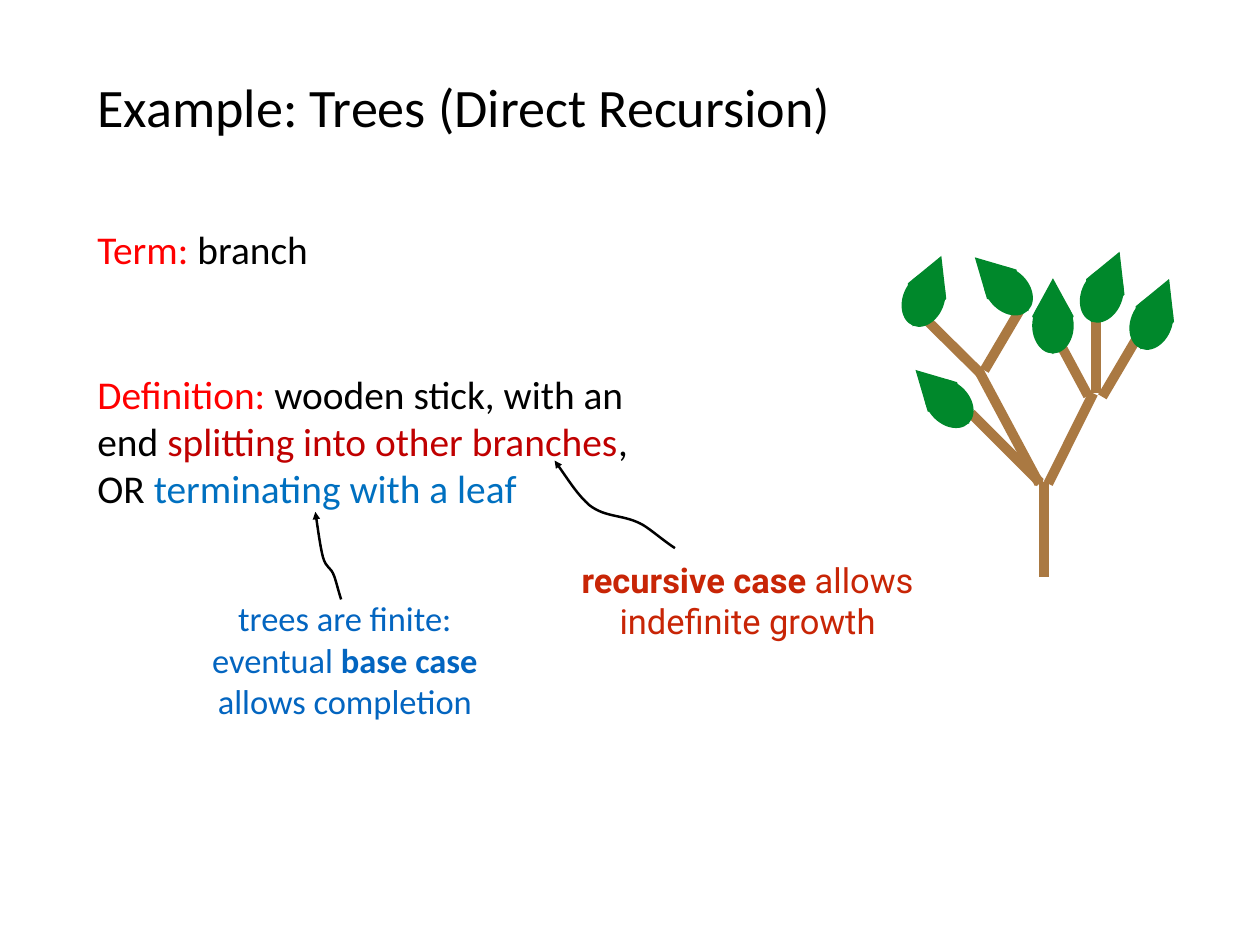
from lxml.etree import SubElement
from pptx import Presentation
from pptx.dml.color import RGBColor
from pptx.enum.shapes import MSO_CONNECTOR, MSO_SHAPE
from pptx.enum.text import MSO_ANCHOR, MSO_AUTO_SIZE, PP_ALIGN
from pptx.oxml.ns import qn
from pptx.util import Cm, Pt

BLACK = RGBColor(0x00, 0x00, 0x00)
RED = RGBColor(0xFF, 0x00, 0x00)
DARK_RED = RGBColor(0xC0, 0x00, 0x00)
BLUE = RGBColor(0x00, 0x70, 0xC0)
NOTE_BLUE = RGBColor(0x03, 0x65, 0xC0)
NOTE_RED = RGBColor(0xC8, 0x25, 0x06)
WOOD = RGBColor(0xAA, 0x79, 0x42)
LEAF_GREEN = RGBColor(0x00, 0x88, 0x2B)

BRANCHES = [
    ((4.02, 9.44), (4.02, 6.72)),
    ((4.15, 6.77), (5.44, 4.18)),
    ((3.89, 6.77), (2.19, 3.59)),
    ((2.22, 3.62), (0.52, 1.94)),
    ((2.32, 3.52), (3.31, 1.84)),
    ((5.70, 4.28), (6.69, 2.60)),
    ((5.29, 4.25), (4.50, 2.78)),
    ((5.52, 4.18), (5.52, 2.02)),
    ((3.92, 6.74), (1.94, 4.76)),
]
LEAVES = [
    (6.61, 0.82, 22.1),
    (5.19, 0.04, 22.1),
    (2.22, -0.04, 315),
    (3.69, 0.88, 0),
    (0.08, 0.16, 22.1),
    (0.52, 3.19, 315),
]
ARROW_CURVE = [
    (1, 1), (0.9, 0.91), (0.82, 0.81), (0.74, 0.74), (0.58, 0.61),
    (0.43, 0.66), (0.29, 0.51), (0.19, 0.39), (0.1, 0.19), (0, 0),
]


def place(shape, box):
    """Move and size a shape to a box given in centimetres."""
    shape.left, shape.top, shape.width, shape.height = map(Cm, box)


def write_text(shape, paragraphs, *, size, color=BLACK, font="Calibri",
               align=PP_ALIGN.LEFT, anchor=MSO_ANCHOR.TOP):
    """Fill a shape with paragraphs of (text, format) runs."""
    frame = shape.text_frame
    frame.word_wrap = True
    frame.auto_size = MSO_AUTO_SIZE.NONE
    frame.vertical_anchor = anchor
    frame.margin_left = frame.margin_right = Cm(0.15)
    frame.margin_top = frame.margin_bottom = Cm(0.15)
    for index, runs in enumerate(paragraphs):
        paragraph = frame.add_paragraph() if index else frame.paragraphs[0]
        paragraph.alignment = align
        paragraph.space_before = Pt(0)
        properties = paragraph._p.get_or_add_pPr()
        properties.set("marL", "0")
        properties.set("indent", "0")
        SubElement(properties, qn("a:buNone"))
        for text, style in runs:
            run = paragraph.add_run()
            run.text = text
            run.font.name = font
            run.font.size = Pt(size)
            run.font.bold = style.get("bold", False)
            run.font.color.rgb = style.get("color", color)


def add_title(shape, box):
    """Place the slide title."""
    place(shape, box)
    write_text(shape, [[("Example: Trees (Direct Recursion)", {})]],
               size=44, anchor=MSO_ANCHOR.MIDDLE)


def add_statement(shape, box, runs):
    """Place a labelled statement in a body placeholder."""
    place(shape, box)
    write_text(shape, [runs], size=32)


def add_note(slide, box, paragraphs, **style):
    """Add a centred note about one case of the definition."""
    shape = slide.shapes.add_textbox(*map(Cm, box))
    write_text(shape, paragraphs, size=28, align=PP_ALIGN.CENTER,
               anchor=MSO_ANCHOR.MIDDLE, **style)


def add_curved_arrow(slide, box):
    """Draw a wavy arrow from the lower right to the upper left of a box."""
    left, top, width, height = box
    points = [(Cm(left + x * width), Cm(top + y * height)) for x, y in ARROW_CURVE]
    builder = slide.shapes.build_freeform(*points[0], scale=1.0)
    builder.add_line_segments(points[1:], close=False)
    arrow = builder.convert_to_shape()
    arrow.shadow.inherit = False
    arrow.fill.background()
    arrow.line.color.rgb = BLACK
    arrow.line.width = Pt(2)
    SubElement(arrow.line._get_or_add_ln(), qn("a:tailEnd"), type="triangle")
    outline = next(arrow.element.iter(qn("a:path")))
    segments = outline.findall(qn("a:lnTo"))
    for start in range(0, len(segments), 3):
        curve = SubElement(outline, qn("a:cubicBezTo"))
        for segment in segments[start:start + 3]:
            curve.append(segment[0])
            outline.remove(segment)


def add_branch(slide, start, end):
    """Draw one wooden branch."""
    branch = slide.shapes.add_connector(MSO_CONNECTOR.STRAIGHT,
                                        *map(Cm, start + end))
    branch.line.color.rgb = WOOD
    branch.line.width = Pt(8)
    SubElement(branch.element.spPr, qn("a:effectLst"))


def add_leaf(slide, left, top, angle):
    """Draw a leaf as a turned group of a diamond and an ellipse."""
    leaf = slide.shapes.add_group_shape()
    for kind, offset, height in ((MSO_SHAPE.DIAMOND, 0, 2.18),
                                 (MSO_SHAPE.OVAL, 0.56, 1.6)):
        part = leaf.shapes.add_shape(kind, Cm(left), Cm(top + offset),
                                     Cm(1.19), Cm(height))
        part.shadow.inherit = False
        part.fill.solid()
        part.fill.fore_color.rgb = LEAF_GREEN
        part.line.fill.background()
    leaf.rotation = angle


def add_tree(slide, left, top):
    """Draw the tree from the top left corner of its box."""
    for start, end in BRANCHES:
        add_branch(slide, (left + start[0], top + start[1]),
                   (left + end[0], top + end[1]))
    for x, y, angle in LEAVES:
        add_leaf(slide, left + x, top + y, angle)


def main():
    """Build the slide and save it."""
    presentation = Presentation()
    presentation.slide_width = Cm(36.12)
    presentation.slide_height = Cm(27.1)
    slide = presentation.slides.add_slide(presentation.slide_layouts[3])
    title, term, definition = slide.placeholders
    add_tree(slide, 25.9, 7.1)
    add_title(title, (2.64, 1.24, 30.84, 3.58))
    add_statement(term, (2.64, 6.3, 30.84, 2.24),
                  [("Term: ", {"color": RED}), ("branch", {})])
    add_statement(definition, (2.64, 10.46, 17.07, 4.52), [
        ("Definition: ", {"color": RED}),
        ("wooden stick, with an end ", {}),
        ("splitting into other branches", {"color": DARK_RED}),
        (", OR ", {}),
        ("terminating with a leaf", {"color": BLUE}),
    ])
    add_note(slide, (4.93, 16.97, 9.91, 3.89), [
        [("trees are finite:", {})],
        [("eventual ", {}), ("base case", {"bold": True})],
        [("allows completion", {})],
    ], color=NOTE_BLUE)
    add_curved_arrow(slide, (9.04, 14.68, 0.74, 2.51))
    add_note(slide, (14.76, 15.88, 13.34, 2.67), [
        [("recursive case", {"bold": True}), (" allows", {})],
        [("indefinite growth", {})],
    ], color=NOTE_RED, font="Roboto")
    add_curved_arrow(slide, (15.9, 13.21, 3.45, 2.51))
    presentation.save("out.pptx")


if __name__ == "__main__":
    main()
